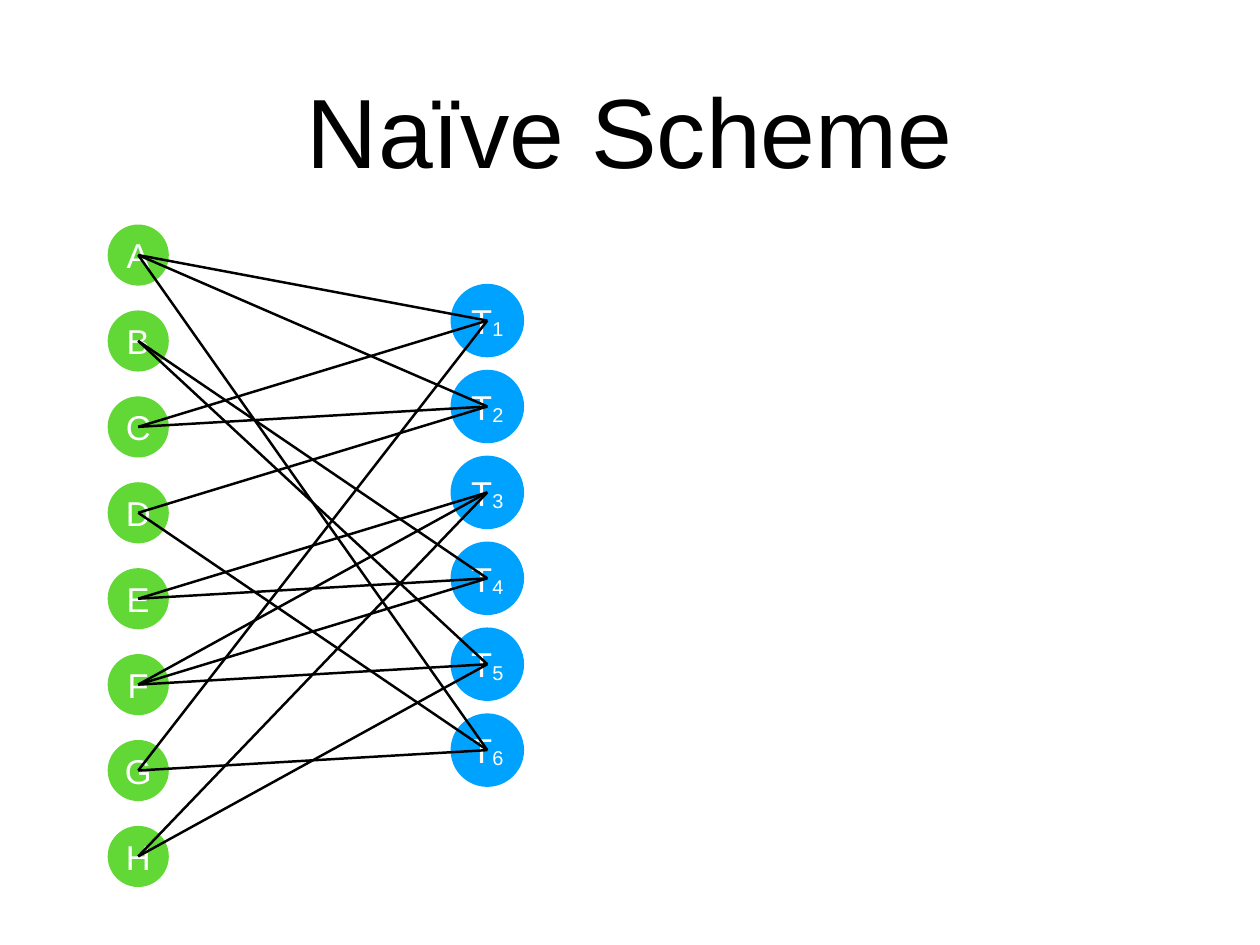
from lxml import etree
from pptx import Presentation
from pptx.dml.color import RGBColor
from pptx.enum.shapes import MSO_CONNECTOR, MSO_SHAPE
from pptx.enum.text import MSO_ANCHOR, PP_ALIGN
from pptx.oxml.ns import qn
from pptx.util import Inches, Pt

BLACK, WHITE, GREEN, BLUE = "000000", "FFFFFF", "61D836", "00A2FF"
ROW_STEP = 0.97
SOURCE_X, SOURCE_TOP, SOURCE_SIZE = 1.56, 2.88, 0.69
TARGET_X, TARGET_TOP, TARGET_SIZE = 5.5, 3.62, 0.83
SOURCES = "ABCDEFGH"
TARGET_SOURCES = {"1": "AGC", "2": "ADC", "3": "FEH",
                  "4": "BEF", "5": "BFH", "6": "ADG"}
FRAME_FORMAT = {
    "word_wrap": True,
    "vertical_anchor": MSO_ANCHOR.MIDDLE,
    **{f"margin_{side}": Inches(0.06)
       for side in ("left", "top", "right", "bottom")},
}


def color(hex_string):
    return RGBColor.from_string(hex_string)


def apply_format(item, values):
    for name, value in values.items():
        setattr(item, name, value)


def write_text(shape, text, size, text_color, subscript=""):
    frame = shape.text_frame
    apply_format(frame, FRAME_FORMAT)
    para = frame.paragraphs[0]
    para.alignment = PP_ALIGN.CENTER
    for part in filter(None, (text, subscript)):
        span = para.add_run()
        span.text = part
        apply_format(span.font, {"name": "Arial", "size": Pt(size)})
        span.font.color.rgb = color(text_color)
    if subscript:
        span._r.get_or_add_rPr().set("baseline", "-6000")


def add_title(page, text):
    title = page.shapes.title
    apply_format(title, {"left": Inches(1.04), "top": Inches(0.28),
                         "width": Inches(12.14), "height": Inches(2.36)})
    write_text(title, text, 80, BLACK)


def add_node(page, center, size, fill, text, subscript=""):
    left, top = (Inches(value - size / 2) for value in center)
    node = page.shapes.add_shape(
        MSO_SHAPE.OVAL, left, top, Inches(size), Inches(size))
    node.shadow.inherit = False
    node.fill.solid()
    node.fill.fore_color.rgb = color(fill)
    node.line.fill.background()
    write_text(node, text, 28, WHITE, subscript)


def add_edge(page, start, end):
    edge = page.shapes.add_connector(
        MSO_CONNECTOR.STRAIGHT, *(Inches(value) for value in start + end))
    edge.line.color.rgb = color(BLACK)
    edge.line.width = Pt(2)
    etree.SubElement(edge._element.spPr, qn("a:effectLst"))


def column_centers(names, x, top):
    return {name: (x, top + row * ROW_STEP) for row, name in enumerate(names)}


def main():
    deck = Presentation()
    deck.slide_width, deck.slide_height = Inches(14.22), Inches(10.67)
    page = deck.slides.add_slide(deck.slide_layouts.get_by_name("Title Only"))
    add_title(page, "Naïve Scheme")

    sources = column_centers(SOURCES, SOURCE_X, SOURCE_TOP)
    targets = column_centers(TARGET_SOURCES, TARGET_X, TARGET_TOP)
    for name, center in sources.items():
        add_node(page, center, SOURCE_SIZE, GREEN, name)
    for number, center in targets.items():
        add_node(page, center, TARGET_SIZE, BLUE, "T", number)
    for number, names in TARGET_SOURCES.items():
        for name in names:
            add_edge(page, sources[name], targets[number])
    deck.save("out.pptx")


if __name__ == "__main__":
    main()
